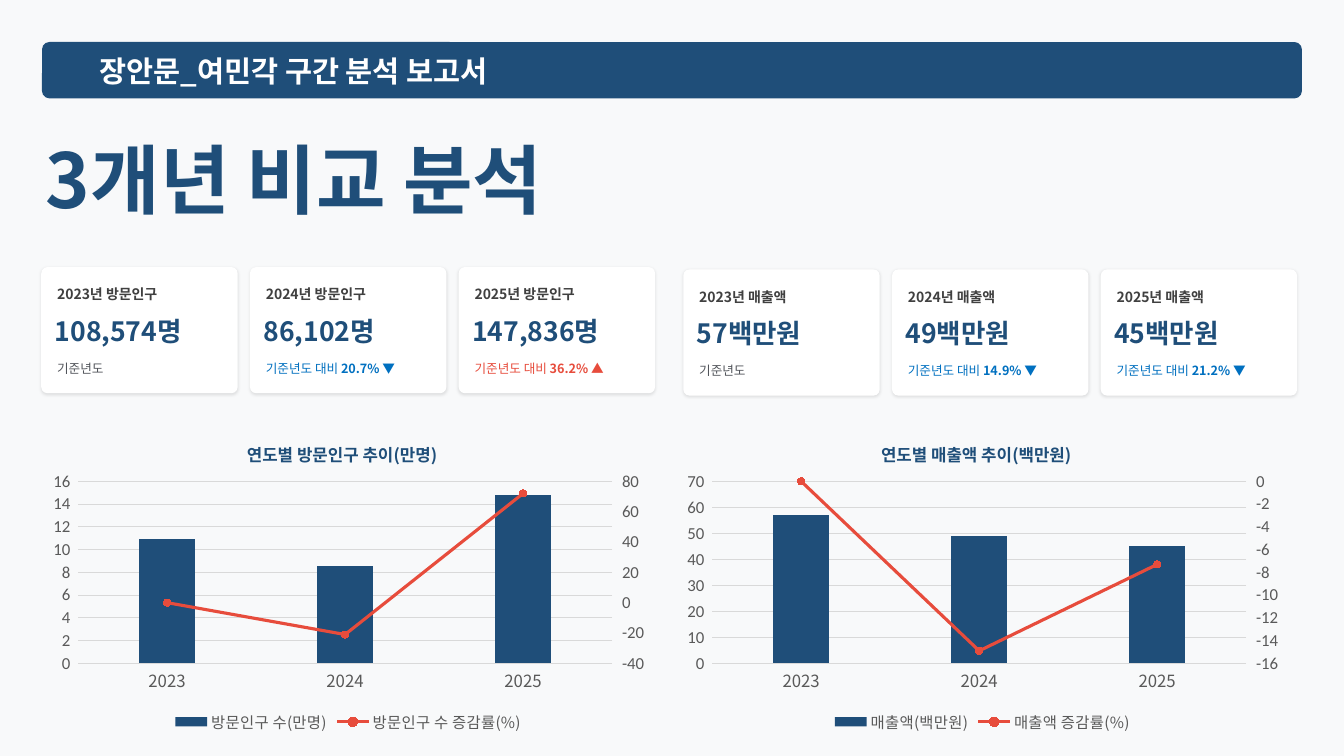
from pptx import Presentation
from pptx.chart.axis import ValueAxis
from pptx.chart.data import CategoryChartData
from pptx.chart.series import LineSeries
from pptx.dml.color import RGBColor
from pptx.enum.chart import XL_CHART_TYPE, XL_LEGEND_POSITION, XL_MARKER_STYLE, XL_TICK_MARK
from pptx.enum.shapes import MSO_SHAPE
from pptx.enum.text import MSO_ANCHOR
from pptx.oxml import parse_xml
from pptx.oxml.ns import nsdecls, qn
from pptx.util import Cm, Pt

NAVY = RGBColor(0x1F, 0x4E, 0x79)
RED = RGBColor(0xE7, 0x4C, 0x3C)
BLUE = RGBColor(0x00, 0x70, 0xC0)
WHITE = RGBColor(0xFF, 0xFF, 0xFF)
BLACK = RGBColor(0x00, 0x00, 0x00)
BACKGROUND = RGBColor(0xF8, 0xF9, 0xFA)
LABEL_GRAY = RGBColor(0x40, 0x40, 0x40)
NOTE_GRAY = RGBColor(0x51, 0x54, 0x5A)
AXIS_GRAY = RGBColor(0x59, 0x59, 0x59)
GRID_GRAY = RGBColor(0xD9, 0xD9, 0xD9)
KOREAN_FONT = "Noto Sans CJK KR"
LATIN_FONT = "Calibri"

YEARS = ("2023", "2024", "2025")
CARD_WIDTH, CARD_HEIGHT, CARD_PITCH = 4.95, 3.18, 5.26
CHART_TOP, CHART_WIDTH, CHART_HEIGHT = 10.52, 15.47, 8.05

VISITOR_CARDS = (
    ("2023년 방문인구", 2.9, "108,574명", "기준년도", "", NOTE_GRAY),
    ("2024년 방문인구", 2.9, "86,102명", "기준년도 대비 ", "20.7% ▼", BLUE),
    ("2025년 방문인구", 2.6, "147,836명", "기준년도 대비 ", "36.2% ▲", RED),
)
SALES_CARDS = (
    ("2023년 매출액", 2.9, "57백만원", "기준년도", "", NOTE_GRAY),
    ("2024년 매출액", 2.9, "49백만원", "기준년도 대비 ", "14.9% ▼", BLUE),
    ("2025년 매출액", 2.9, "45백만원", "기준년도 대비 ", "21.2% ▼", BLUE),
)


def set_font(font, size, color, bold=False, name=KOREAN_FONT):
    """Apply size, colour, weight and typeface to a font."""
    font.size, font.bold, font.name = Pt(size), bold, name
    font.color.rgb = color


def add_east_asian_fonts(root):
    """Use each Korean typeface for East Asian characters too."""
    for latin in list(root.iter(qn("a:latin"))):
        if latin.get("typeface") == KOREAN_FONT:
            latin.addnext(parse_xml(f'<a:ea {nsdecls("a")} typeface="{KOREAN_FONT}"/>'))


def add_text(slide, left, top, width, height, runs, size, color):
    """Add a middle-anchored line made of (text, bold) runs."""
    box = slide.shapes.add_textbox(Cm(left), Cm(top), Cm(width), Cm(height))
    frame = box.text_frame
    frame.word_wrap = True
    frame.vertical_anchor = MSO_ANCHOR.MIDDLE
    frame.margin_left = frame.margin_right = frame.margin_top = frame.margin_bottom = 0
    for text, bold in runs:
        run = frame.paragraphs[0].add_run()
        run.text = text
        set_font(run.font, size, color, bold)


def add_panel(slide, left, top, width, height, color, rounding):
    """Add a rounded panel without outline and return it."""
    shape = slide.shapes.add_shape(
        MSO_SHAPE.ROUNDED_RECTANGLE, Cm(left), Cm(top), Cm(width), Cm(height))
    shape.adjustments[0] = rounding
    shape.fill.solid()
    shape.fill.fore_color.rgb = color
    shape.line.fill.background()
    shape.shadow.inherit = False
    return shape


def add_heading(slide, left, top, width):
    """Add the report banner and the large page title."""
    add_panel(slide, left, top, width, 1.42, NAVY, 0.13)
    add_text(slide, left + 1.45, top + 0.18, width - 2.9, 1.09,
             [("장안문_여민각 구간 분석 보고서", True)], 21, WHITE)
    add_text(slide, left + 0.1, top + 2.06, 16.05, 2.77,
             [("3개년 비교 분석", True)], 54, NAVY)


def add_card(slide, left, top, label, label_width, value, note, change, note_color):
    """Add one key-figure card."""
    card = add_panel(slide, left, top, CARD_WIDTH, CARD_HEIGHT, WHITE, 0.05)
    effects = card._element.spPr.find(qn("a:effectLst"))
    effects.append(parse_xml(
        f'<a:outerShdw {nsdecls("a")} blurRad="25400" dist="12700" dir="5400000" rotWithShape="0">'
        '<a:srgbClr val="000000"><a:alpha val="10000"/></a:srgbClr></a:outerShdw>'))
    add_text(slide, left + 0.4, top + 0.46, label_width, 0.45, [(label, True)], 10, LABEL_GRAY)
    add_text(slide, left + 0.34, top + 1.24, CARD_WIDTH, 0.74, [(value, True)], 19, NAVY)
    runs = [(note, False)] + ([(change, True)] if change else [])
    add_text(slide, left + 0.4, top + 2.28, 4.4, 0.53, runs, 9, note_color)


def add_card_row(slide, left, top, cards):
    """Add a row of evenly spaced cards."""
    for index, card in enumerate(cards):
        add_card(slide, left + index * CARD_PITCH, top, *card)


def set_layout(element, position, target, **fractions):
    """Place a chart part at fractions of the chart area."""
    for layout in element.findall(qn("c:layout")):
        element.remove(layout)
    inner = '<c:layoutTarget val="inner"/>' if target else ""
    modes = "".join(f'<c:{key}Mode val="edge"/>' for key in "xy")
    sizes = "".join(f'<c:{key} val="{value}"/>' for key, value in fractions.items())
    element.insert(position, parse_xml(
        f'<c:layout {nsdecls("c")}><c:manualLayout>{inner}{modes}{sizes}'
        '</c:manualLayout></c:layout>'))


def move_to_right_axis(chart):
    """Turn the second series into a line on a right axis; return both."""
    plot_area = chart._chartSpace.chart.plotArea
    bars = plot_area.find(qn("c:barChart"))
    series = bars.findall(qn("c:ser"))[1]
    for flag in series.findall(qn("c:invertIfNegative")):
        series.remove(flag)
    line_chart = parse_xml(
        f'<c:lineChart {nsdecls("c")}><c:grouping val="standard"/><c:varyColors val="0"/>'
        '<c:marker val="1"/><c:axId val="5001"/><c:axId val="5002"/></c:lineChart>')
    line_chart.insert(2, series)
    bars.addnext(line_chart)
    category_axis = parse_xml(
        f'<c:catAx {nsdecls("c")}><c:axId val="5001"/>'
        '<c:scaling><c:orientation val="minMax"/></c:scaling><c:delete val="1"/>'
        '<c:axPos val="b"/><c:crossAx val="5002"/><c:crosses val="autoZero"/></c:catAx>')
    right_axis = parse_xml(
        f'<c:valAx {nsdecls("c")}><c:axId val="5002"/>'
        '<c:scaling><c:orientation val="minMax"/></c:scaling><c:delete val="0"/>'
        '<c:axPos val="r"/><c:numFmt formatCode="General" sourceLinked="0"/>'
        '<c:majorTickMark val="out"/><c:minorTickMark val="none"/><c:tickLblPos val="nextTo"/>'
        '<c:crossAx val="5001"/><c:crosses val="max"/><c:crossBetween val="between"/></c:valAx>')
    plot_area.find(qn("c:valAx")).addnext(right_axis)
    right_axis.addnext(category_axis)
    return LineSeries(series), ValueAxis(right_axis)


def style_value_axis(axis, minimum, maximum, step):
    """Set the range and look of a value axis."""
    axis.minimum_scale, axis.maximum_scale, axis.major_unit = minimum, maximum, step
    axis.format.line.fill.background()
    set_font(axis.tick_labels.font, 12, AXIS_GRAY, name=LATIN_FONT)


def add_trend_chart(slide, left, title, names, totals, rates, number_format, scale, rate_scale):
    """Add yearly columns with a line for the rate of change."""
    data = CategoryChartData()
    data.categories = YEARS
    for name, values in zip(names, (totals, rates)):
        data.add_series(name, values)
    chart = slide.shapes.add_chart(
        XL_CHART_TYPE.COLUMN_CLUSTERED, Cm(left), Cm(CHART_TOP),
        Cm(CHART_WIDTH), Cm(CHART_HEIGHT), data).chart
    set_font(chart.font, 10, BLACK, name=LATIN_FONT)

    chart.has_title = True
    chart.chart_title.text_frame.text = title
    set_font(chart.chart_title.text_frame.paragraphs[0].runs[0].font, 12, NAVY, True)
    set_layout(chart.chart_title._element, 1, False, x=0.33, y=0.06)
    set_layout(chart._chartSpace.chart.plotArea, 0, True, x=0.06, y=0.2, w=0.87, h=0.57)
    chart.has_legend = True
    chart.legend.position = XL_LEGEND_POSITION.BOTTOM
    chart.legend.include_in_layout = False
    set_font(chart.legend.font, 11, AXIS_GRAY)

    columns = chart.plots[0]
    columns.gap_width = 219
    columns.vary_by_categories = False
    columns.series[0].format.fill.solid()
    columns.series[0].format.fill.fore_color.rgb = NAVY
    category_axis, value_axis = chart.category_axis, chart.value_axis
    category_axis.major_tick_mark = value_axis.major_tick_mark = XL_TICK_MARK.NONE
    set_font(category_axis.tick_labels.font, 12, AXIS_GRAY)
    for line in (category_axis.format.line, value_axis.major_gridlines.format.line):
        line.color.rgb, line.width = GRID_GRAY, Pt(0.75)
    value_axis.tick_labels.number_format = number_format
    value_axis.tick_labels.number_format_is_linked = False
    style_value_axis(value_axis, *scale)

    rate_line, right_axis = move_to_right_axis(chart)
    style_value_axis(right_axis, *rate_scale)
    rate_line.smooth = False
    rate_line.format.line.color.rgb, rate_line.format.line.width = RED, Pt(2.25)
    marker = rate_line.marker
    marker.style, marker.size = XL_MARKER_STYLE.CIRCLE, 5
    marker.format.fill.solid()
    marker.format.fill.fore_color.rgb = marker.format.line.color.rgb = RED
    add_east_asian_fonts(chart._chartSpace)


def main():
    """Build the three-year comparison slide."""
    presentation = Presentation()
    presentation.slide_width, presentation.slide_height = Cm(33.87), Cm(19.05)
    slide = presentation.slides.add_slide(presentation.slide_layouts[6])
    slide.background.fill.solid()
    slide.background.fill.fore_color.rgb = BACKGROUND
    add_card_row(slide, 1.04, 6.73, VISITOR_CARDS)
    add_card_row(slide, 17.22, 6.79, SALES_CARDS)
    add_heading(slide, 1.06, 1.06, 31.75)
    add_trend_chart(slide, 1.04, "연도별 방문인구 추이(만명)",
                    ("방문인구 수(만명)", "방문인구 수 증감률(%)"), (10.9, 8.6, 14.8), (0, -21, 72),
                    r"#,##0_);[Red]\(#,##0\)", (0, 16, 2), (-40, 80, 20))
    add_trend_chart(slide, 17.02, "연도별 매출액 추이(백만원)",
                    ("매출액(백만원)", "매출액 증감률(%)"), (57, 49, 45), (0, -14.9, -7.3),
                    "#,##0_ ", (0, 70, 10), (-16, 0, 2))
    add_east_asian_fonts(slide.element)
    presentation.save("out.pptx")


if __name__ == "__main__":
    main()
